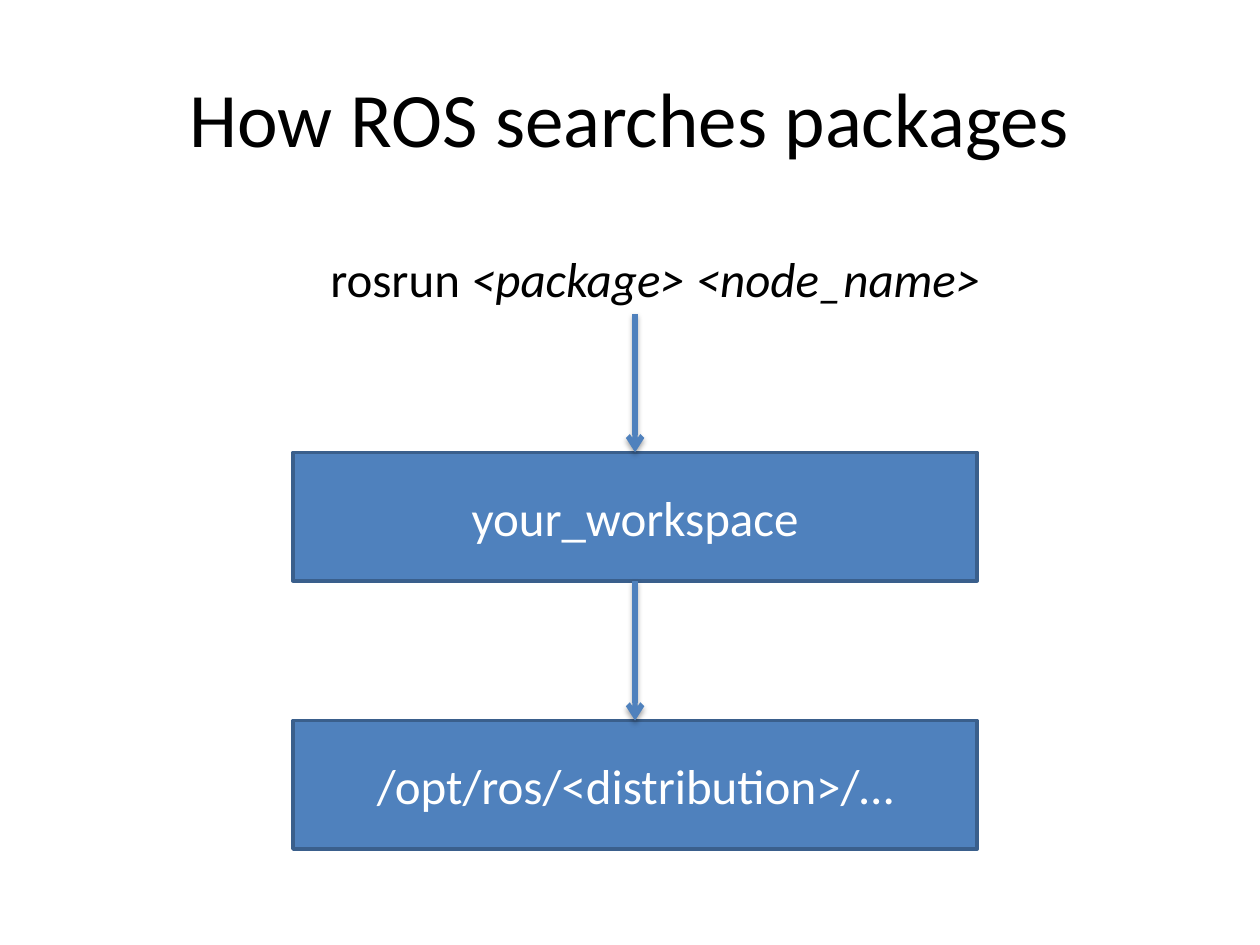
from lxml import etree
from pptx import Presentation
from pptx.dml.color import RGBColor
from pptx.enum.shapes import MSO_CONNECTOR as Line, MSO_SHAPE as Shape
from pptx.enum.text import MSO_ANCHOR as Anchor, MSO_AUTO_SIZE as Fit, PP_ALIGN as Align
from pptx.oxml import parse_xml
from pptx.oxml.ns import nsdecls, qn
from pptx.util import Pt

FONT = "Calibri"
BLACK = RGBColor(0x00, 0x00, 0x00)
WHITE = RGBColor(0xFF, 0xFF, 0xFF)
BLUE = RGBColor(0x4F, 0x81, 0xBD)
EDGE = RGBColor(0x3A, 0x5F, 0x8C)

LEFT, WIDE, HIGH = 167.4, 391, 73.4
MID = LEFT + WIDE / 2
TOP, STEP = 258.5, 153.3

SHADOW = f"""<a:effectLst {nsdecls("a")}>
  <a:outerShdw blurRad="{Pt(3.1)}" dist="{Pt(1.8)}" dir="5400000" rotWithShape="0">
    <a:srgbClr val="000000"><a:alpha val="35000"/></a:srgbClr>
  </a:outerShdw>
</a:effectLst>"""


def write(shape, runs, size, color, anchor=Anchor.MIDDLE):
    """Fill a shape with one centred line of (text, italic) runs."""
    frame = shape.text_frame
    frame.word_wrap = True
    frame.vertical_anchor = anchor
    para = frame.paragraphs[0]
    para.alignment = Align.CENTER
    for text, slant in runs:
        run = para.add_run()
        run.text = text
        font = run.font
        font.name, font.size, font.italic = FONT, Pt(size), slant
        font.color.rgb = color


def add_text(slide, place, runs, size, anchor):
    box = slide.shapes.add_textbox(*map(Pt, place))
    write(box, runs, size, BLACK, anchor)
    return box


def add_box(slide, top, text):
    box = slide.shapes.add_shape(Shape.RECTANGLE, *map(Pt, (LEFT, top, WIDE, HIGH)))
    box.shadow.inherit = False
    box.fill.solid()
    box.fill.fore_color.rgb = BLUE
    box.line.color.rgb = EDGE
    box.line.width = Pt(2)
    write(box, [(text, None)], 28, WHITE)
    return box


def add_arrow(slide, start, end, head, tail=None):
    """Draw an arrow down to the top of head, from the foot of tail if given."""
    arrow = slide.shapes.add_connector(Line.STRAIGHT, *map(Pt, (MID, start, MID, end)))
    if tail is not None:
        arrow.begin_connect(tail, 2)
    arrow.end_connect(head, 0)
    arrow.line.color.rgb = BLUE
    arrow.line.width = Pt(3)
    etree.SubElement(arrow.line._get_or_add_ln(), qn("a:tailEnd"), type="arrow")
    arrow._element.spPr.append(parse_xml(SHADOW))


def main():
    deck = Presentation()
    deck.slide_width, deck.slide_height = Pt(720), Pt(540)
    slide = deck.slides.add_slide(deck.slide_layouts[6])

    add_text(slide, (36, 21.6, 648, 90), [("How ROS searches packages", None)],
             44, Anchor.MIDDLE)
    names = ("your_workspace", "/opt/ros/<distribution>/…")
    work, system = [add_box(slide, TOP + i * STEP, name) for i, name in enumerate(names)]
    add_arrow(slide, 179.4, TOP, work)
    add_arrow(slide, TOP + HIGH, TOP + STEP, system, work)
    call = add_text(slide, (144.7, 138.2, 459.4, 41.2),
                    [("rosrun ", None), ("<package> <node_name>", True)], 28, Anchor.TOP)
    call.text_frame.auto_size = Fit.SHAPE_TO_FIT_TEXT

    deck.save("out.pptx")


if __name__ == "__main__":
    main()
